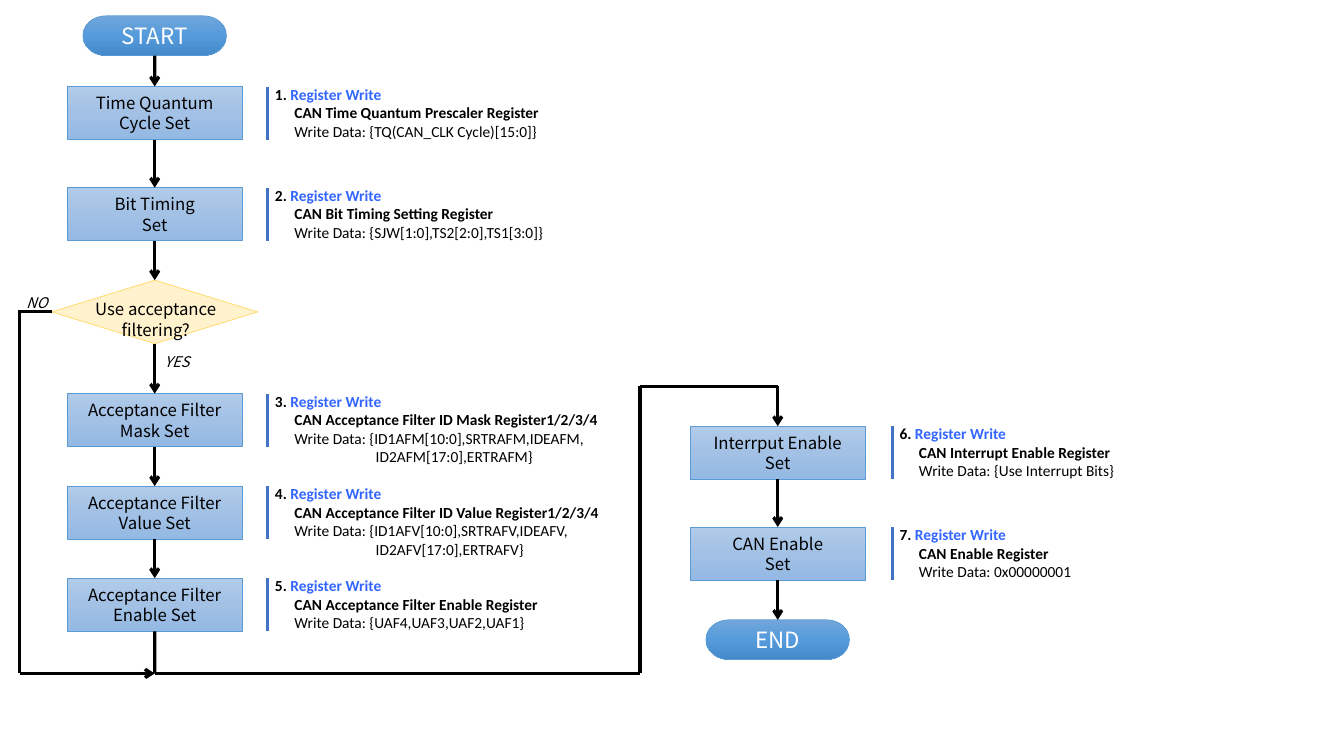
from copy import deepcopy

from lxml import etree
from pptx import Presentation
from pptx import util as u
from pptx.dml import color
from pptx.enum import shapes, text
from pptx.oxml import ns

FLOW_FONT, NOTE_FONT = "Noto Sans CJK JP", "Calibri"
BLACK, WHITE, BLUE = "000000", "FFFFFF", "3366FF"
BAR, OUTLINE = "4472C4", "5B9BD5"
STEP_SHADES = ("B1CBE9", "A3C1E5", "93B9E4")
END_SHADES = ("71A6DB", "559BDB", "448ACA")
STEP_W, STEP_H = 4.4, 1.34
LEFT_AXIS, RIGHT_AXIS = 3.9, 19.6
LEFT_NOTES, RIGHT_NOTES = 6.75, 22.49
LOOP_X, RISER_X = 0.5, 16.13
BRANCH_Y, RISER_TOP, BUS_Y = 7.86, 9.73, 16.97
TOP, LEFT, BOTTOM = 0, 1, 2

# Top of the step, its label, the register and the lines of its write data
LEFT_STEPS = [
    (2.18, "Time Quantum\nCycle Set", "CAN Time Quantum Prescaler Register",
     ["Write Data: {TQ(CAN_CLK Cycle)[15:0]}"]),
    (4.73, "Bit Timing\nSet", "CAN Bit Timing Setting Register",
     ["Write Data: {SJW[1:0],TS2[2:0],TS1[3:0]}"]),
    (9.92, "Acceptance Filter Mask Set", "CAN Acceptance Filter ID Mask Register1/2/3/4",
     ["Write Data: {ID1AFM[10:0],SRTRAFM,IDEAFM,", "ID2AFM[17:0],ERTRAFM}"]),
    (12.25, "Acceptance Filter Value Set", "CAN Acceptance Filter ID Value Register1/2/3/4",
     ["Write Data: {ID1AFV[10:0],SRTRAFV,IDEAFV,", "ID2AFV[17:0],ERTRAFV}"]),
    (14.57, "Acceptance Filter Enable Set", "CAN Acceptance Filter Enable Register",
     ["Write Data: {UAF4,UAF3,UAF2,UAF1}"]),
]
RIGHT_STEPS = [
    (10.74, "Interrput Enable Set", "CAN Interrupt Enable Register",
     ["Write Data: {Use Interrupt Bits}"]),
    (13.28, "CAN Enable\nSet", "CAN Enable Register", ["Write Data: 0x00000001"]),
]


def rgb(value):
    return color.RGBColor.from_string(value)


def style_run(run, font, size, colour, bold=False, italic=False):
    run.font.name, run.font.size = font, u.Pt(size)
    run.font.color.rgb = rgb(colour)
    run.font.bold, run.font.italic = bold, italic


def write_label(frame, label, size, colour=BLACK, italic=False):
    frame.text = label
    frame.vertical_anchor = text.MSO_ANCHOR.MIDDLE
    for paragraph in frame.paragraphs:
        paragraph.alignment = text.PP_ALIGN.CENTER
        for run in paragraph.runs:
            style_run(run, FLOW_FONT, size, colour, italic=italic)


def shade(node, colours):
    """Fill a node from top to bottom with evenly spaced colours."""
    node.fill.gradient()
    node.fill.gradient_angle = 270
    stop_list = node.fill.gradient_stops
    first = next(node._element.spPr.iter(ns.qn("a:gs")))
    for _ in range(len(colours) - len(stop_list)):
        first.addnext(deepcopy(first))
    for i, (stop, colour) in enumerate(zip(node.fill.gradient_stops, colours)):
        stop.color.rgb = rgb(colour)
        stop.position = i / (len(colours) - 1)


def add_node(slide, kind, axis, top, width, height, outline=OUTLINE):
    """Add a flowchart shape centred on a vertical axis."""
    node = slide.shapes.add_shape(kind, u.Cm(axis - width / 2), u.Cm(top),
                                  u.Cm(width), u.Cm(height))
    node.shadow.inherit = False
    node.line.color.rgb = rgb(outline)
    node.line.width = u.Pt(0.5)
    return node


def add_terminator(slide, axis, top, label):
    node = add_node(slide, shapes.MSO_SHAPE.FLOWCHART_TERMINATOR, axis, top, 3.62, 1)
    shade(node, END_SHADES)
    write_label(node.text_frame, label, 16, WHITE)
    return node


def add_step(slide, axis, top, label):
    node = add_node(slide, shapes.MSO_SHAPE.RECTANGLE, axis, top, STEP_W, STEP_H)
    shade(node, STEP_SHADES)
    write_label(node.text_frame, label, 12)
    return node


def add_decision(slide):
    node = add_node(slide, shapes.MSO_SHAPE.FLOWCHART_DECISION, LEFT_AXIS,
                    BRANCH_Y - 0.8, 5.2, 1.6, "FFD966")
    node.fill.solid()
    node.fill.fore_color.rgb = rgb("FFF2CC")
    add_caption(slide, 1.6, 7.65, 4.65, 0.79, "Use acceptance filtering?", 12)
    return node


def add_caption(slide, left, top, width, height, label, size, wrap=True, italic=False):
    frame = slide.shapes.add_textbox(u.Cm(left), u.Cm(top), u.Cm(width),
                                     u.Cm(height)).text_frame
    frame.word_wrap = wrap
    write_label(frame, label, size, italic=italic)


def add_line(slide, start, end, colour=BLACK, arrow=False):
    line = slide.shapes.add_connector(shapes.MSO_CONNECTOR.STRAIGHT,
                                      *map(u.Cm, start + end))
    line.line.color.rgb = rgb(colour)
    line.line.width = u.Pt(2.25)
    if arrow:
        etree.SubElement(line.line._get_or_add_ln(), ns.qn("a:tailEnd"), type="arrow")
    etree.SubElement(line._element.spPr, ns.qn("a:effectLst"))
    return line


def chain(slide, nodes):
    """Join each node to the next one below it with an arrow."""
    for upper, lower in zip(nodes, nodes[1:]):
        arrow = add_line(slide, (0, 0), (1, 1), arrow=True)
        arrow.begin_connect(upper, BOTTOM)
        arrow.end_connect(lower, TOP)


def add_note(slide, left, top, number, register, data):
    """Add the bar and the register description beside a step."""
    add_line(slide, (left, top), (left, top + STEP_H), BAR)
    frame = slide.shapes.add_textbox(u.Cm(left - 0.07), u.Cm(top - 0.17), u.Cm(8.86),
                                     u.Cm(1.21 + 0.47 * len(data))).text_frame
    frame.word_wrap = True
    frame.text = "\n".join([f"{number}. ", register, *data])
    heading, name, *data_lines = frame.paragraphs
    heading.add_run().text = "Register Write"
    for run, colour in zip(heading.runs, (BLACK, BLUE)):
        style_run(run, NOTE_FONT, 11, colour, bold=True)
    for paragraph, indent in zip([name, *data_lines], (0.49, 0.49, 2.54)):
        paragraph._p.get_or_add_pPr().set("marL", str(u.Cm(indent)))
        style_run(paragraph.runs[0], NOTE_FONT, 11, BLACK, bold=paragraph is name)


def add_column(slide, steps, axis, note_left, first_number):
    nodes = []
    for number, (top, label, register, data) in enumerate(steps, first_number):
        nodes.append(add_step(slide, axis, top, label))
        add_note(slide, note_left, top, number, register, data)
    return nodes


def add_routes(slide, decision, last_left, first_right):
    """Draw the NO loop and the path from the left column to the right one."""
    branch = add_line(slide, (1.3, BRANCH_Y), (LOOP_X - 0.04, BRANCH_Y))
    branch.begin_connect(decision, LEFT)
    add_line(slide, (LOOP_X, BRANCH_Y), (LOOP_X, BUS_Y))
    add_line(slide, (LOOP_X, BUS_Y), (LEFT_AXIS, BUS_Y), arrow=True)
    drop = add_line(slide, (LEFT_AXIS, BUS_Y - 1), (LEFT_AXIS, BUS_Y))
    drop.begin_connect(last_left, BOTTOM)
    add_line(slide, (LEFT_AXIS, BUS_Y), (RISER_X, BUS_Y))
    add_line(slide, (RISER_X, RISER_TOP), (RISER_X, BUS_Y))
    add_line(slide, (RISER_X, RISER_TOP), (RIGHT_AXIS, RISER_TOP))
    entry = add_line(slide, (RIGHT_AXIS, RISER_TOP), (RIGHT_AXIS, RISER_TOP + 1), arrow=True)
    entry.end_connect(first_right, TOP)


def main():
    deck = Presentation()
    deck.slide_width, deck.slide_height = u.Cm(33.87), u.Cm(19.05)
    slide = deck.slides.add_slide(deck.slide_layouts[6])

    start = add_terminator(slide, LEFT_AXIS, 0.4, "START")
    left = add_column(slide, LEFT_STEPS, LEFT_AXIS, LEFT_NOTES, 1)
    decision = add_decision(slide)
    right = add_column(slide, RIGHT_STEPS, RIGHT_AXIS, RIGHT_NOTES, 1 + len(left))
    end = add_terminator(slide, RIGHT_AXIS, 15.62, "END")

    chain(slide, [start, *left[:2], decision, *left[2:]])
    chain(slide, [*right, end])
    add_routes(slide, decision, left[-1], right[0])
    add_caption(slide, 0.38, 7.27, 1.1, 0.73, "NO", 10.5, wrap=False, italic=True)
    add_caption(slide, 3.82, 8.74, 1.28, 0.73, "YES", 10.5, wrap=False, italic=True)
    deck.save("out.pptx")


if __name__ == "__main__":
    main()
